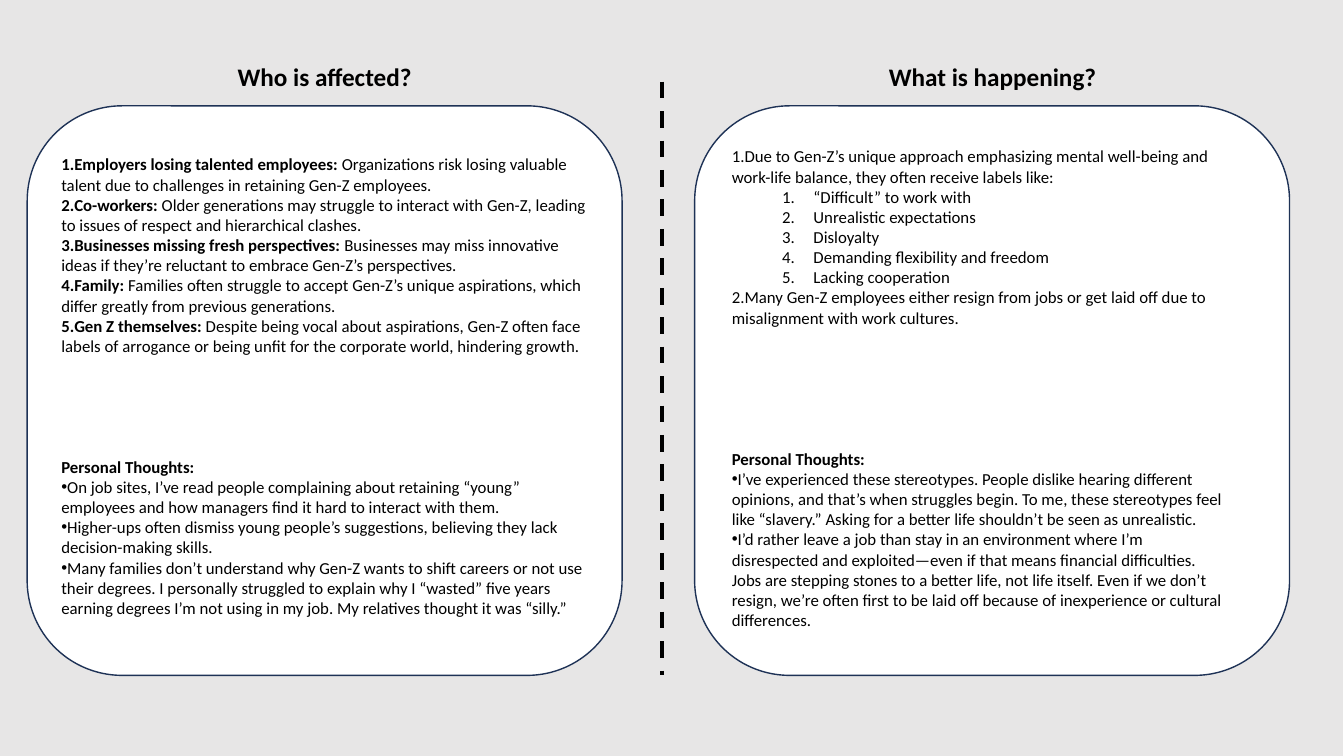
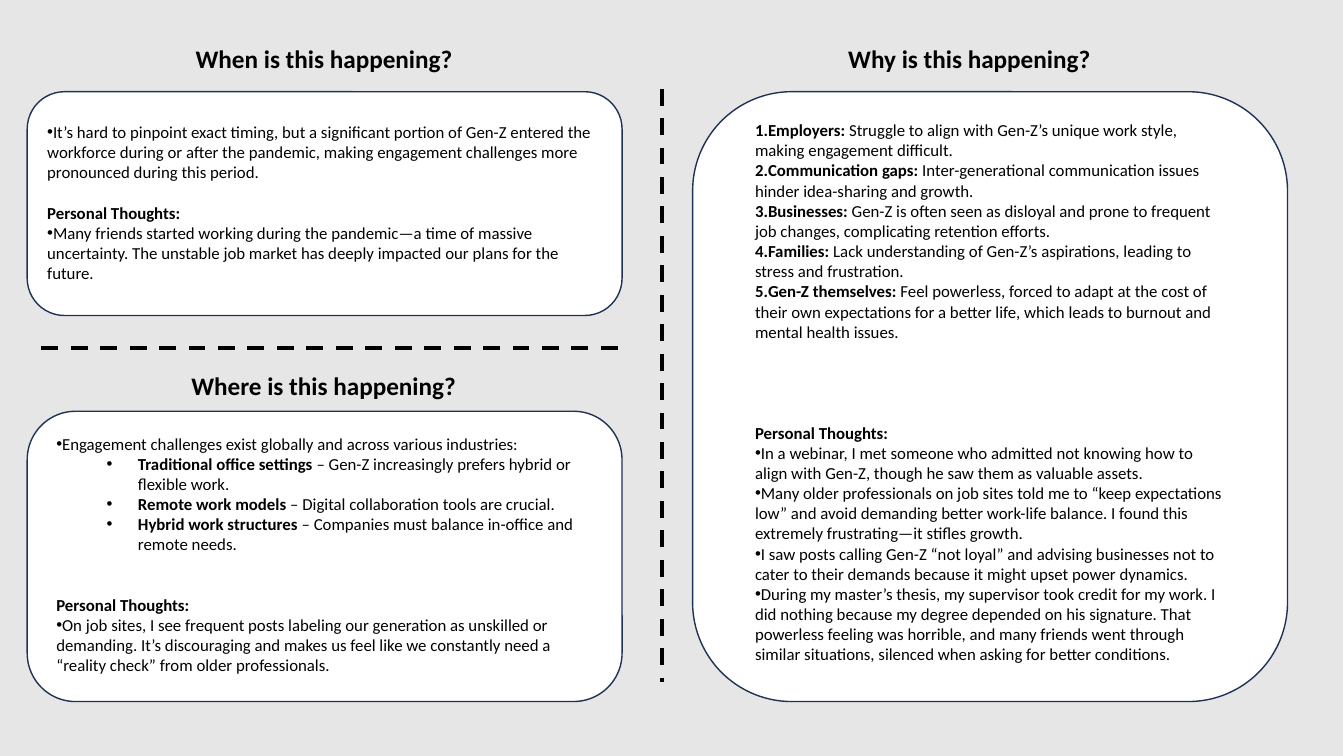
from lxml.etree import SubElement
from pptx import Presentation
from pptx.dml.color import RGBColor
from pptx.enum.dml import MSO_LINE
from pptx.enum.shapes import MSO_CONNECTOR, MSO_SHAPE
from pptx.enum.text import MSO_AUTO_SIZE, PP_ALIGN
from pptx.oxml.ns import qn
from pptx.util import Pt

SCALE = 9144
WIDE, HIGH = 1333, 750
FONT = "Calibri"
INK, PAPER, EDGE, WASH = "000000", "FFFFFF", "1E3256", "D0CECE"
BODY, TITLE, LINE = 12, 18, 14.4
PANEL = 590


def px(*sizes):
    """Turn px into EMU."""
    return [size * SCALE for size in sizes]


def paint(color, value):
    """Set a colour format from a hex string."""
    color.rgb = RGBColor.from_string(value)


def mark(para, kind):
    """Give a paragraph its number or bullet, with the indent of its level."""
    props = para._p.get_or_add_pPr()
    nested = kind.startswith("sub")
    left, hang = px(81, -31) if nested else (0, 0)
    para.level = int(nested)
    props.set("marL", str(left))
    props.set("indent", str(hang))
    if kind.endswith("num"):
        SubElement(props, qn("a:buAutoNum"), type="arabicPeriod")
    else:
        SubElement(props, qn("a:buFont"), typeface="Arial")
        SubElement(props, qn("a:buChar"), char="•")


def write(slide, box, rows, size=BODY, align=PP_ALIGN.LEFT, gap=0):
    """Write rows of kind and text; a bar ends the bold lead of a row."""
    frame = slide.shapes.add_textbox(*px(*box)).text_frame
    frame.word_wrap = True
    frame.auto_size = MSO_AUTO_SIZE.SHAPE_TO_FIT_TEXT
    for index, (kind, text) in enumerate(rows):
        para = frame.add_paragraph() if index else frame.paragraphs[0]
        para.alignment = align
        if kind != "head":
            mark(para, kind)
        elif index:
            para.space_before = Pt(gap)
        lead, bar, rest = text.partition("|")
        for part, bold in ((lead, bool(bar) or kind == "head"), (rest, False)):
            if part:
                run = para.add_run()
                run.text = part
                run.font.name, run.font.size, run.font.bold = FONT, Pt(size), bold
                paint(run.font.color, INK)


def block(slide, shape, box, fill, edge=None):
    """Add a filled shape, outlined if an edge colour is given."""
    item = slide.shapes.add_shape(shape, *px(*box))
    item.shadow.inherit = False
    item.fill.solid()
    paint(item.fill.fore_color, fill)
    if edge:
        paint(item.line.color, edge)
        item.line.width = Pt(1)
    else:
        item.line.fill.background()
    return item


def rule(slide, *ends):
    """Draw a dashed dividing line."""
    line = slide.shapes.add_connector(MSO_CONNECTOR.STRAIGHT, *px(*ends))
    paint(line.line.color, INK)
    line.line.width = Pt(3)
    line.line.dash_style = MSO_LINE.DASH
    SubElement(line._element.spPr, qn("a:effectLst"))


def panel(slide, box, head, pad, title, points, thoughts, lines):
    """Place a titled panel; head and pad are offsets and sizes in its box."""
    left, top = box[:2]
    block(slide, MSO_SHAPE.ROUNDED_RECTANGLE, box, PAPER, EDGE)
    rows = points + [("head", "Personal Thoughts:")]
    rows += [("dot", thought) for thought in thoughts]
    for (x, y, wide, high), text, form in (
        (pad, rows, {"gap": lines * LINE}),
        ((*head, 40), [("head", title)], {"size": TITLE, "align": PP_ALIGN.CENTER}),
    ):
        write(slide, (left + x, top + y, wide, high), text, **form)


def page(deck):
    """Add a blank slide with the grey wash."""
    slide = deck.slides.add_slide(deck.slide_layouts[6])
    wash = block(slide, MSO_SHAPE.RECTANGLE, (0, 0, WIDE - 1, HIGH), WASH)
    tint = wash._element.spPr.find(qn("a:solidFill"))[0]
    SubElement(tint, qn("a:alpha"), val="50000")
    return slide


def who_what(deck):
    """Build the slide on who is affected and what is happening."""
    slide = page(deck)
    panel(
        slide, (27, 105, PANEL, 565), (103, -49, 384), (24, 43, 542, 475),
        "Who is affected?",
        [
            ("num", "Employers losing talented employees:| Organizations risk losing valuable talent due to challenges in retaining Gen-Z employees."),
            ("num", "Co-workers:| Older generations may struggle to interact with Gen-Z, leading to issues of respect and hierarchical clashes."),
            ("num", "Businesses missing fresh perspectives:| Businesses may miss innovative ideas if they’re reluctant to embrace Gen-Z’s perspectives."),
            ("num", "Family:| Families often struggle to accept Gen-Z’s unique aspirations, which differ greatly from previous generations."),
            ("num", "Gen Z themselves:| Despite being vocal about aspirations, Gen-Z often face labels of arrogance or being unfit for the corporate world, hindering growth."),
        ],
        [
            "On job sites, I’ve read people complaining about retaining “young” employees and how managers find it hard to interact with them.",
            "Higher-ups often dismiss young people’s suggestions, believing they lack decision-making skills.",
            "Many families don’t understand why Gen-Z wants to shift careers or not use their degrees. I personally struggled to explain why I “wasted” five years earning degrees I’m not using in my job. My relatives thought it was “silly.”",
        ],
        5,
    )
    panel(
        slide, (689, 105, PANEL, 565), (83, -49, 425), (27, 35, 511, 495),
        "What is happening?",
        [
            ("num", "Due to Gen-Z’s unique approach emphasizing mental well-being and work-life balance, they often receive labels like:"),
            ("subnum", "“Difficult” to work with"),
            ("subnum", "Unrealistic expectations"),
            ("subnum", "Disloyalty"),
            ("subnum", "Demanding flexibility and freedom"),
            ("subnum", "Lacking cooperation"),
            ("num", "Many Gen-Z employees either resign from jobs or get laid off due to misalignment with work cultures."),
        ],
        [
            "I’ve experienced these stereotypes. People dislike hearing different opinions, and that’s when struggles begin. To me, these stereotypes feel like “slavery.” Asking for a better life shouldn’t be seen as unrealistic.",
            "I’d rather leave a job than stay in an environment where I’m disrespected and exploited—even if that means financial difficulties. Jobs are stepping stones to a better life, not life itself. Even if we don’t resign, we’re often first to be laid off because of inexperience or cultural differences.",
        ],
        6,
    )
    rule(slide, 657, 81, 657, 670)


def when_why(deck):
    """Build the slide on when, where and why it is happening."""
    slide = page(deck)
    panel(
        slide, (27, 91, PANEL, 222), (128, -53, 333), (10, 25, 570, 172),
        "When is this happening?",
        [("dot", "It’s hard to pinpoint exact timing, but a significant portion of Gen-Z entered the workforce during or after the pandemic, making engagement challenges more pronounced during this period.")],
        ["Many friends started working during the pandemic—a time of massive uncertainty. The unstable job market has deeply impacted our plans for the future."],
        1,
    )
    panel(
        slide, (27, 408, PANEL, 288), (128, -46, 332), (19, 17, 561, 252),
        "Where is this happening?",
        [
            ("dot", "Engagement challenges exist globally and across various industries:"),
            ("subdot", "Traditional office settings| – Gen-Z increasingly prefers hybrid or flexible work."),
            ("subdot", "Remote work models| – Digital collaboration tools are crucial."),
            ("subdot", "Hybrid work structures| – Companies must balance in-office and remote needs."),
        ],
        ["On job sites, I see frequent posts labeling our generation as unskilled or demanding. It’s discouraging and makes us feel like we constantly need a “reality check” from older professionals."],
        2,
    )
    panel(
        slide, (687, 91, PANEL, 605), (116, -53, 317), (52, 23, 485, 555),
        "Why is this happening?",
        [
            ("num", "Employers:| Struggle to align with Gen-Z’s unique work style, making engagement difficult."),
            ("num", "Communication gaps:| Inter-generational communication issues hinder idea-sharing and growth."),
            ("num", "Businesses:| Gen-Z is often seen as disloyal and prone to frequent job changes, complicating retention efforts."),
            ("num", "Families:| Lack understanding of Gen-Z’s aspirations, leading to stress and frustration."),
            ("num", "Gen-Z themselves:| Feel powerless, forced to adapt at the cost of their own expectations for a better life, which leads to burnout and mental health issues."),
        ],
        [
            "In a webinar, I met someone who admitted not knowing how to align with Gen-Z, though he saw them as valuable assets.",
            "Many older professionals on job sites told me to “keep expectations low” and avoid demanding better work-life balance. I found this extremely frustrating—it stifles growth.",
            "I saw posts calling Gen-Z “not loyal” and advising businesses not to cater to their demands because it might upset power dynamics.",
            "During my master’s thesis, my supervisor took credit for my work. I did nothing because my degree depended on his signature. That powerless feeling was horrible, and many friends went through similar situations, silenced when asking for better conditions.",
        ],
        4,
    )
    rule(slide, 41, 345, 617, 345)
    rule(slide, 657, 88, 657, 677)


def main():
    """Build and save the deck."""
    deck = Presentation()
    deck.slide_width, deck.slide_height = px(WIDE, HIGH)
    who_what(deck)
    when_why(deck)
    deck.save("out.pptx")


if __name__ == "__main__":
    main()
